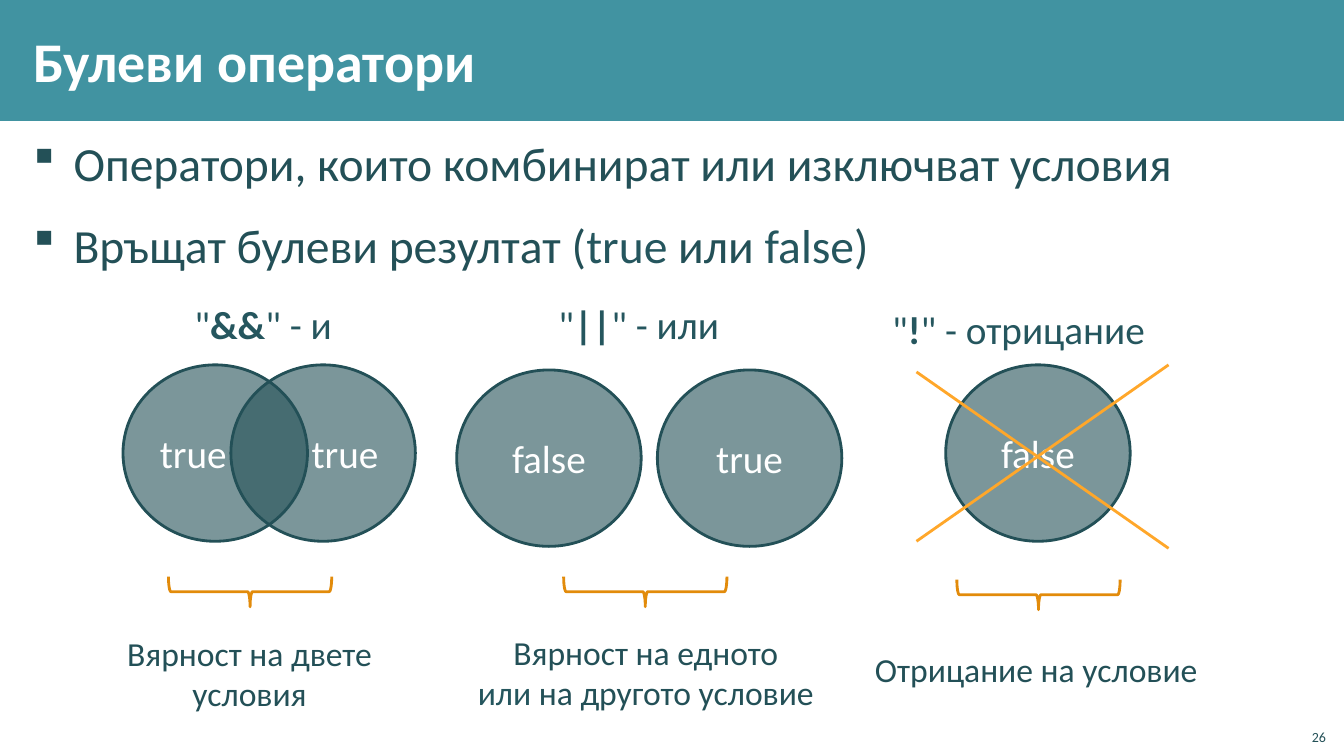
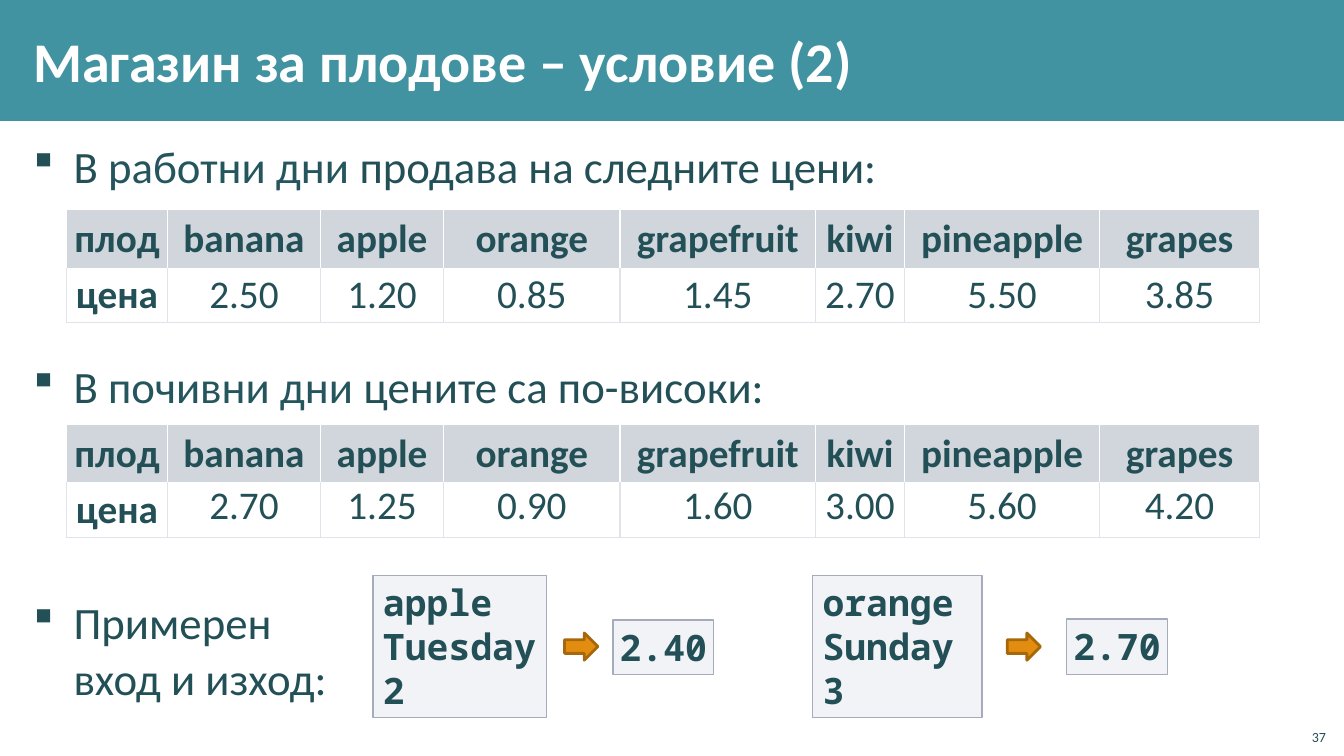
from dataclasses import dataclass

import pptx
import pptx.dml.color
import pptx.enum.shapes
import pptx.enum.text
import pptx.oxml
import pptx.oxml.ns
import pptx.util

PX = 9144
Shape = pptx.enum.shapes.MSO_SHAPE
Align = pptx.enum.text.PP_ALIGN
Anchor = pptx.enum.text.MSO_ANCHOR
qn = pptx.oxml.ns.qn


@dataclass(frozen=True)
class Theme:
    """Colours, fonts and type sizes of the deck."""
    band: str = "4193A1"
    white: str = "FFFFFF"
    text: str = "235057"
    accent: str = "25565E"
    brace: str = "E28B0B"
    cross: str = "FFA72A"
    arrow: str = "E28D10"
    arrow_edge: str = "A7680C"
    code_fill: str = "C2C7D2"
    code_edge: str = "A3ABBC"
    head_fill: str = "67748E"
    grid: str = "E0E3E9"
    font: str = "Calibri"
    mono: str = "Noto Sans Mono"
    title: int = 40
    bullet: int = 34
    tight_bullet: int = 32
    label: int = 28
    code: int = 26
    caption: int = 24
    number: int = 10


THEME = Theme()


def px(*lengths):
    """Turn pixel lengths into EMU."""
    return [pptx.util.Emu(length * PX) for length in lengths]


def rgb(colour):
    """Turn a hex string into a colour."""
    return pptx.dml.color.RGBColor.from_string(colour)


def apply(target, values):
    """Set every attribute named in a dict of format values."""
    for name, value in values.items():
        setattr(target, name, value)


def element(xml):
    """Build a drawing element from a tag with its attributes and content."""
    tag = xml.split(" ", 1)[0]
    return pptx.oxml.parse_xml(f"<a:{xml.replace(tag, tag + ' ' + pptx.oxml.ns.nsdecls('a'), 1)}")


def paint(fill, holder, colour, opacity=100):
    """Fill with a colour, or with nothing, at an opacity in percent."""
    if colour is None:
        fill.background()
        return
    fill.solid()
    fill.fore_color.rgb = rgb(colour)
    if opacity < 100:
        holder.find(qn("a:solidFill"))[0].append(element(f'alpha val="{opacity * 1000}"/>'))


def write(paragraph, pieces, size, colour=THEME.text, bold=False, font=THEME.font):
    """Write strings and (string, changes) pairs as runs, with line breaks."""
    for piece in [pieces] if isinstance(pieces, str) else pieces:
        text, changes = (piece, {}) if isinstance(piece, str) else piece
        look = {"colour": colour, "bold": bold} | changes
        for index, line in enumerate(text.split("\n")):
            if index:
                paragraph.add_line_break()
            if line:
                run = paragraph.add_run()
                run.text = line
                apply(run.font, {"size": pptx.util.Pt(size), "name": font, "bold": look["bold"]})
                run.font.color.rgb = rgb(look["colour"])


def add_shape(slide, kind, box, fill=None, edge=None, opacity=100, width=2, rotation=0):
    """Add a preset shape without a shadow."""
    shape = slide.shapes.add_shape(kind, *px(*box))
    shape.shadow.inherit = False
    shape.rotation = rotation
    paint(shape.fill, shape.element.spPr, fill, opacity)
    if edge:
        shape.line.color.rgb = rgb(edge)
        shape.line.width = pptx.util.Pt(width)
    else:
        shape.line.fill.background()
    return shape


def add_text(slide, box, pieces, size, align=Align.LEFT, frame=None, **look):
    """Add a one-paragraph text box."""
    text_frame = slide.shapes.add_textbox(*px(*box)).text_frame
    apply(text_frame, {"word_wrap": False} | (frame or {}))
    text_frame.paragraphs[0].alignment = align
    write(text_frame.paragraphs[0], pieces, size, **look)


def wide_frame():
    """Give the frame format of titles and bullet lists."""
    side, edge = px(12, 4)
    return {"word_wrap": True, "margin_left": side, "margin_right": side,
            "margin_top": edge, "margin_bottom": edge}


def add_bullets(slide, box, items, size, spacing):
    """Add a bullet list of (space before, pieces) items."""
    text_frame = slide.shapes.add_textbox(*px(*box)).text_frame
    apply(text_frame, wide_frame())
    hang, = px(40)
    for index, (before, pieces) in enumerate(items):
        paragraph = text_frame.add_paragraph() if index else text_frame.paragraphs[0]
        properties = paragraph._p.get_or_add_pPr()
        properties.set("marL", str(hang))
        properties.set("indent", str(-hang))
        properties.append(element('buFont typeface="Wingdings" charset="2"/>'))
        properties.append(element('buChar char="§"/>'))
        apply(paragraph, {"line_spacing": spacing, "space_before": pptx.util.Pt(before),
                          "space_after": pptx.util.Pt(6)})
        write(paragraph, pieces, size)


def add_circle(slide, left, top, word, align=Align.CENTER):
    """Add a translucent circle that holds a Boolean value."""
    circle = add_shape(slide, Shape.OVAL, (left, top, 183, 175), THEME.text, THEME.text, 60)
    circle.text_frame.vertical_anchor = Anchor.MIDDLE
    circle.text_frame.paragraphs[0].alignment = align
    write(circle.text_frame.paragraphs[0], word, THEME.label, THEME.white)


def add_operator(slide, box, sign, meaning):
    """Add the heading of an operator, with its sign in bold."""
    add_text(slide, box, ['"', (sign, {"bold": True}), f'" - {meaning}'], THEME.label,
             colour=THEME.accent)


def add_cross_line(slide, start, end):
    """Add one stroke of the cross."""
    stroke = slide.shapes.add_connector(pptx.enum.shapes.MSO_CONNECTOR.STRAIGHT, *px(*start, *end))
    stroke.line.color.rgb = rgb(THEME.cross)
    stroke.line.width = pptx.util.Pt(2)
    stroke._element.spPr.append(element("effectLst />"))


def add_code(slide, box, lines, align=Align.LEFT):
    """Add a box of sample input or output whose lines never wrap."""
    code = add_shape(slide, Shape.RECTANGLE, box, THEME.code_fill, THEME.code_edge, 20, 1)
    apply(code.text_frame, {"word_wrap": False, "vertical_anchor": Anchor.TOP})
    for index, line in enumerate(lines):
        paragraph = code.text_frame.add_paragraph() if index else code.text_frame.paragraphs[0]
        paragraph.alignment = align
        write(paragraph, line, THEME.code, bold=True, font=THEME.mono)


def format_cell(cell, text, header, bold, anchor):
    """Write, border and fill one table cell."""
    side, = px(7)
    apply(cell, {"margin_left": side, "margin_right": side, "margin_top": 0,
                 "margin_bottom": 0, "vertical_anchor": anchor})
    paragraph = cell.text_frame.paragraphs[0]
    apply(paragraph, {"alignment": Align.CENTER, "line_spacing": 0.95})
    write(paragraph, text, THEME.label, bold=bold)
    properties = cell._tc.get_or_add_tcPr()
    for edge in "LRTB":
        colour = THEME.white if header or edge == "T" else THEME.grid
        properties.append(element(
            f'ln{edge} w="12700"><a:solidFill><a:srgbClr val="{colour}"/></a:solidFill></a:ln{edge}>'))
    paint(cell.fill, properties, THEME.head_fill if header else None, 30)


def add_prices(slide, top, prices, price_anchor):
    """Add a table of fruits and their prices."""
    fruits = ["banana", "apple", "orange", "grapefruit", "kiwi", "pineapple", "grapes"]
    rows = [["плод", *fruits], ["цена", *prices]]
    widths, heights = px(100, 152, 122, 175, 194, 88, 194, 158), px(58, 54)
    table = slide.shapes.add_table(len(rows), len(widths), *px(66, top, 1183, 112)).table
    apply(table, {"first_row": False, "horz_banding": False})
    for column, width in zip(table.columns, widths):
        column.width = width
    for row_index, (row, height) in enumerate(zip(rows, heights)):
        table.rows[row_index].height = height
        for column_index, text in enumerate(row):
            header, first = row_index == 0, column_index == 0
            anchor = Anchor.MIDDLE if header or first else price_anchor
            format_cell(table.cell(row_index, column_index), text, header, header or first, anchor)


def add_slide(deck, title, number):
    """Add a slide with the title band and slide number."""
    slide = deck.slides.add_slide(deck.slide_layouts[6])
    add_shape(slide, Shape.RECTANGLE, (0, 0, 1333, 120), THEME.band)
    add_text(slide, (21, 11, 1071, 97), title, THEME.title, colour=THEME.white, bold=True,
             frame=wide_frame() | {"vertical_anchor": Anchor.MIDDLE})
    add_text(slide, (1285, 712, 40, 32), number, THEME.number, Align.RIGHT,
             {"word_wrap": True, "vertical_anchor": Anchor.BOTTOM})
    return slide


def build_operators(deck):
    """Build the slide on Boolean operators."""
    slide = add_slide(deck, "Булеви оператори", "26")
    accent = {"colour": THEME.accent}
    add_bullets(slide, (21, 120, 1291, 160), [
        (0, "Оператори, които комбинират или изключват условия"),
        (6, ["Връщат булеви резултат (", ("true", accent), " или ", ("false", accent), ")"]),
    ], THEME.bullet, 1.15)

    add_operator(slide, (183, 293, 161, 57), "&&", "и")
    add_operator(slide, (544, 293, 180, 57), "||", "или")
    add_operator(slide, (875, 298, 274, 57), "!", "отрицание")

    add_circle(slide, 122, 362, "true", Align.LEFT)
    add_circle(slide, 229, 362, "true", Align.RIGHT)
    add_circle(slide, 453, 367, "false")
    add_circle(slide, 652, 367, "true")
    add_circle(slide, 938, 362, "false")
    add_cross_line(slide, (1159, 362), (909, 537))
    add_cross_line(slide, (1159, 544), (909, 369))

    for left, top in [(233, 506), (625, 506), (1015, 509)]:
        add_shape(slide, Shape.RIGHT_BRACE, (left, top, 30, 162), edge=THEME.brace, rotation=90)
    add_text(slide, (115, 623, 265, 91), "Вярност на двете\nусловия", THEME.caption, Align.CENTER)
    add_text(slide, (446, 622, 389, 91),
             ["Вярност на едното\n", ("или", accent), " на другото условие"],
             THEME.caption, Align.CENTER)
    add_text(slide, (858, 639, 344, 50), "Отрицание на условие", THEME.caption)


def build_fruit_shop(deck):
    """Build the slide on the fruit shop task."""
    slide = add_slide(deck, "Магазин за плодове – условие (2)", "37")
    accent = {"colour": THEME.accent}
    add_bullets(slide, (21, 131, 1292, 608), [
        (0, ["В ", ("работни дни ", accent), "продава на следните цени:"]),
        (111, ["В ", ("почивни дни ", accent), "цените са по-високи:"]),
        (122, "Примерен\nвход и изход:"),
    ], THEME.tight_bullet, 1.05)

    add_prices(slide, 208, ["2.50", "1.20", "0.85", "1.45", "2.70", "5.50", "3.85"], Anchor.MIDDLE)
    add_prices(slide, 421, ["2.70", "1.25", "0.90", "1.60", "3.00", "5.60", "4.20"], Anchor.TOP)

    add_code(slide, (370, 571, 172, 141), ["apple", "Tuesday", "2"])
    add_code(slide, (608, 615, 100, 54), ["2.40"], Align.CENTER)
    add_code(slide, (806, 571, 168, 141), ["orange", "Sunday", "3"])
    add_code(slide, (1058, 614, 100, 55), ["2.70"], Align.CENTER)
    for left in (560, 999):
        add_shape(slide, Shape.RIGHT_ARROW, (left, 628, 33, 27), THEME.arrow, THEME.arrow_edge)


def main():
    """Build and save the deck."""
    deck = pptx.Presentation()
    deck.slide_width, deck.slide_height = px(1333, 750)
    build_operators(deck)
    build_fruit_shop(deck)
    deck.save("out.pptx")


if __name__ == "__main__":
    main()
